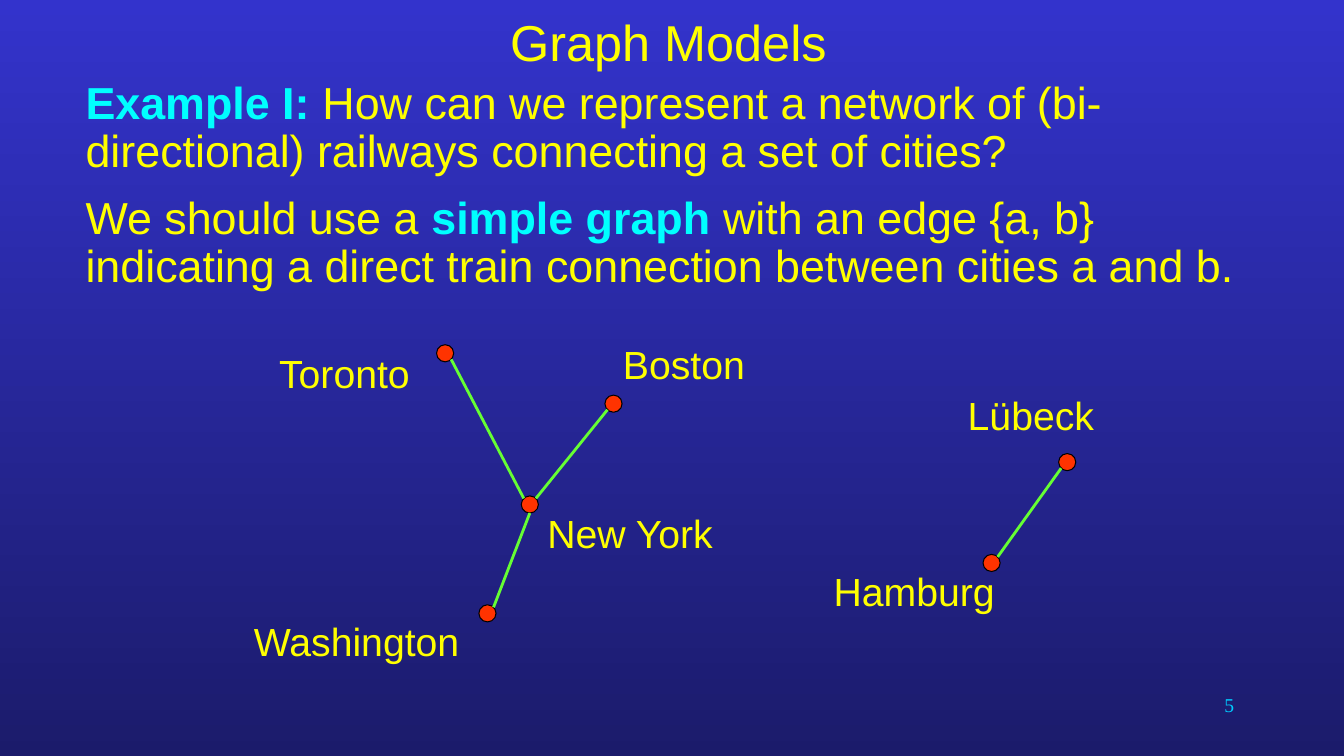
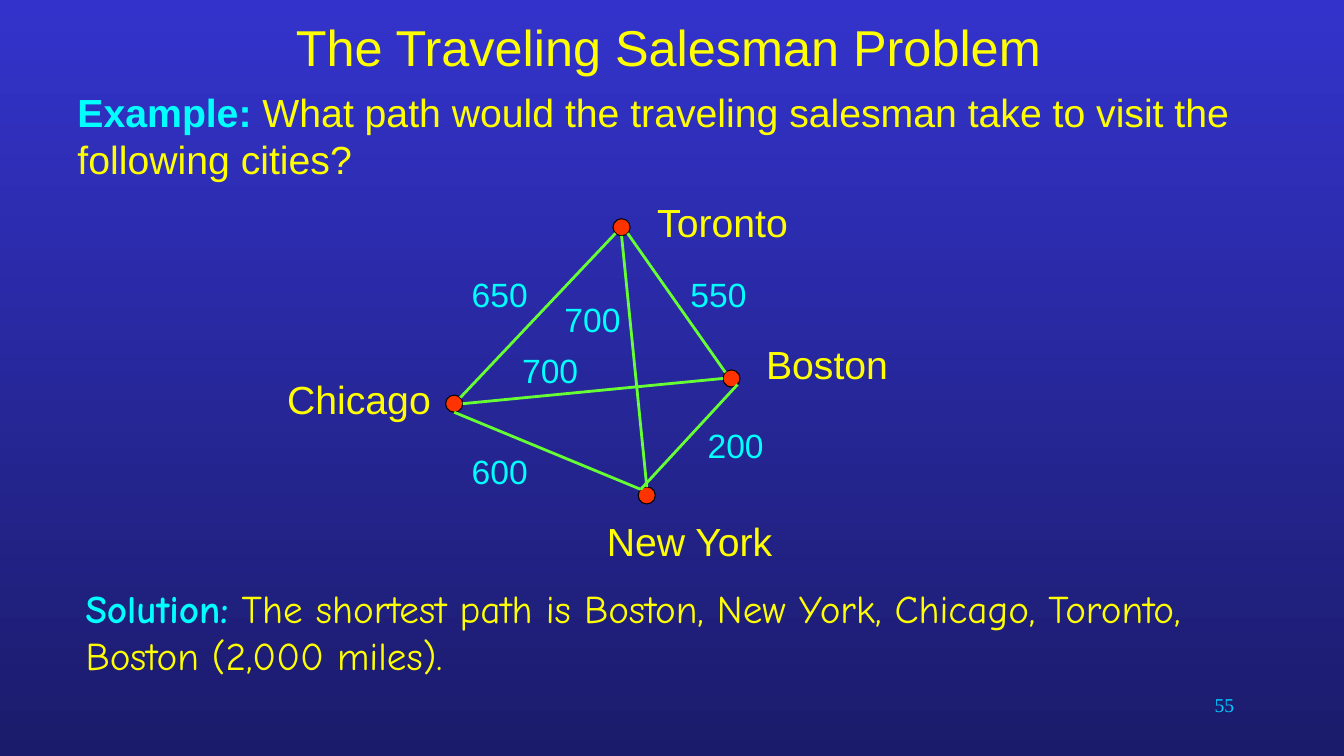
"""Build two slides on graph models: a railway network and a salesman tour."""
import dataclasses
import math

import pptx
import pptx.dml.color
import pptx.enum.shapes
import pptx.enum.text
import pptx.oxml.ns
import pptx.util
from lxml import etree
from pptx.util import Inches, Pt

SHAPES = pptx.enum.shapes.MSO_SHAPE
ALIGN = pptx.enum.text.PP_ALIGN


@dataclasses.dataclass(frozen=True)
class Theme:
    """Colours, fonts and sizes shared by the slides."""

    sky: str = "3333CC"
    night: str = "1B1B6B"
    text: str = "FFFF00"
    accent: str = "00FFFF"
    number: str = "00CCFF"
    node: str = "FF3300"
    outline: str = "000000"
    edge: str = "66FF33"
    font: str = "Arial"
    hand_font: str = "Comic Neue"
    number_font: str = "Times New Roman"
    title_size: int = 36
    lead_size: int = 32
    body_size: int = 28
    weight_size: int = 24
    number_size: int = 14
    node_width: float = 0.17


THEME = Theme()
LABEL_HEIGHT = 0.57
WEIGHT_WIDTH, WEIGHT_HEIGHT = 1.08, 0.5
NUMBER_PLACE = (9.56, 6.83, 2.78, 0.5)

COMPASS = {name: math.radians(45 * step) for step, name in
           enumerate(("E", "SE", "S", "SW", "W", "NW", "N", "NE"))}

SLIDES = [
    {
        "title": "Graph Models", "title_height": 0.83, "number": "5",
        "texts": [
            {"place": (0.75, 0.75, 11.92, 2.42), "size": THEME.lead_size,
             "font": THEME.font, "spacing": 0.9, "paragraphs": [
                 [("Example I: ", True),
                  ("How can we represent a network of (bi-directional) "
                   "railways connecting a set of cities?", False)],
                 [("We should use a ", False), ("simple graph", True),
                  (" with an edge {a, b} indicating a direct train "
                   "connection between cities a and b.", False)]]},
        ],
        "cities": {
            "New York": {"node": (5.17, 4.92), "label": (5.33, 5, 2.08)},
            "Boston": {"node": (6, 3.92), "label": (6.08, 3.33, 1.75)},
            "Washington": {"node": (4.75, 6), "label": (2.42, 6.08, 3.17)},
            "Lübeck": {"node": (10.5, 4.5), "label": (9.5, 3.83, 2.17)},
            "Toronto": {"node": (4.33, 3.42), "label": (2.67, 3.42, 2.25)},
            "Hamburg": {"node": (9.75, 5.5), "label": (8.17, 5.58, 2)},
        },
        "edges": [
            ("Toronto", "SE", "New York", "NW"),
            ("New York", "NE", "Boston", "SW"),
            ("New York", "S", "Washington", "NE"),
            ("Hamburg", "NE", "Lübeck", "SW"),
        ],
        "weights": [],
    },
    {
        "title": "The Traveling Salesman Problem", "title_height": 0.92,
        "number": "55",
        "texts": [
            {"place": (0.67, 0.83, 12.08, 1.17), "size": THEME.body_size,
             "font": THEME.font, "spacing": 1.0, "paragraphs": [
                 [("Example:", True),
                  (" What path would the traveling salesman take to visit "
                   "the following cities?", False)]]},
            {"place": (0.75, 5.75, 11.83, 1.17), "size": THEME.body_size,
             "font": THEME.hand_font, "spacing": 1.0, "paragraphs": [
                 [("Solution:", True),
                  (" The shortest path is Boston, New York, Chicago, "
                   "Toronto, Boston (2,000 miles).", False)]]},
        ],
        "cities": {
            "Chicago": {"node": (4.42, 3.92), "label": (2.75, 3.67, 1.67)},
            "New York": {"node": (6.33, 4.83), "label": (5.92, 5.08, 2.33)},
            "Boston": {"node": (7.17, 3.67), "label": (7.5, 3.33, 1.67)},
            "Toronto": {"node": (6.08, 2.17), "label": (6.42, 1.92, 1.67)},
        },
        "edges": [
            ("Toronto", "SW", "Chicago", "NE"),
            ("Chicago", "S", "New York", "NW"),
            ("Boston", "SE", "New York", "NW"),
            ("Chicago", "E", "Boston", "W"),
            ("Toronto", "SE", "Boston", "NW"),
            ("Toronto", "S", "New York", "N"),
        ],
        "weights": [
            ("600", 4.58, 4.42), ("700", 5.08, 3.42), ("200", 6.92, 4.17),
            ("650", 4.58, 2.67), ("550", 6.75, 2.67), ("700", 5.5, 2.92),
        ],
    },
]


def rgb(code):
    """Turn a hex code into a colour."""
    return pptx.dml.color.RGBColor.from_string(code)


def style_font(font, size, color, name=THEME.font, bold=False):
    """Set the look of a font."""
    font.size, font.name, font.bold = Pt(size), name, bold
    font.color.rgb = rgb(color)


def add_box(page, place):
    """Add an empty wrapping text box."""
    box = page.shapes.add_textbox(*map(Inches, place))
    box.text_frame.word_wrap = True
    return box


def add_label(page, text, place, size, color, name=THEME.font, align=ALIGN.LEFT):
    """Add a one-line text."""
    para = add_box(page, place).text_frame.paragraphs[0]
    para.text, para.alignment = text, align
    style_font(para.runs[0].font, size, color, name)


def add_text(page, block):
    """Add paragraphs whose key words are bold and in the accent colour."""
    frame = add_box(page, block["place"]).text_frame
    for index, spans in enumerate(block["paragraphs"]):
        para = frame.add_paragraph() if index else frame.paragraphs[0]
        para.line_spacing = block["spacing"]
        para.space_before = para.space_after = Pt(0.2 * block["size"])
        for text, is_key in spans:
            span = para.add_run()
            span.text = text
            style_font(span.font, block["size"],
                       THEME.accent if is_key else THEME.text,
                       block["font"], is_key)


def add_node(page, left, top):
    """Add the dot of a city."""
    width = Inches(THEME.node_width)
    dot = page.shapes.add_shape(SHAPES.FLOWCHART_CONNECTOR,
                                Inches(left), Inches(top), width, width)
    dot.shadow.inherit = False
    dot.fill.solid()
    dot.fill.fore_color.rgb = rgb(THEME.node)
    dot.line.color.rgb = rgb(THEME.outline)
    dot.line.width = Pt(0.75)


def rim_point(city, side):
    """Find the point on a city's dot that faces a compass direction."""
    radius, angle = THEME.node_width / 2, COMPASS[side]
    left, top = city["node"]
    return (Inches(left + radius * (1 + math.cos(angle))),
            Inches(top + radius * (1 + math.sin(angle))))


def add_edge(page, start, end):
    """Add a straight edge between two points."""
    edge = page.shapes.add_connector(
        pptx.enum.shapes.MSO_CONNECTOR.STRAIGHT, *start, *end)
    edge.line.color.rgb = rgb(THEME.edge)
    edge.line.width = Pt(2)
    etree.SubElement(edge._element.spPr, pptx.oxml.ns.qn("a:effectLst"))


def add_graph(page, cities, edges, weights):
    """Draw cities, their names, the edges and the distances."""
    for name, city in cities.items():
        add_node(page, *city["node"])
        add_label(page, name, (*city["label"], LABEL_HEIGHT),
                  THEME.body_size, THEME.text)
    for start, start_side, end, end_side in edges:
        add_edge(page, rim_point(cities[start], start_side),
                 rim_point(cities[end], end_side))
    for text, left, top in weights:
        add_label(page, text, (left, top, WEIGHT_WIDTH, WEIGHT_HEIGHT),
                  THEME.weight_size, THEME.accent)


def set_title(page, text, height):
    """Place and format the title."""
    title = page.shapes.title
    title.left, title.top, title.width, title.height = map(
        Inches, (1.92, 0, 9.42, height))
    frame = title.text_frame
    frame.text = text
    frame.auto_size = pptx.enum.text.MSO_AUTO_SIZE.NONE
    frame.vertical_anchor = pptx.enum.text.MSO_ANCHOR.MIDDLE
    para = frame.paragraphs[0]
    para.alignment = ALIGN.CENTER
    style_font(para.runs[0].font, THEME.title_size, THEME.text)


def set_background(master):
    """Give all slides a gradient that darkens downwards."""
    fill = master.background.fill
    fill.gradient()
    fill.gradient_angle = 270
    for stop, color in zip(fill.gradient_stops, (THEME.sky, THEME.night)):
        stop.color.rgb = rgb(color)


def main():
    """Build and save the deck."""
    deck = pptx.Presentation()
    deck.slide_width, deck.slide_height = Inches(13.33), Inches(7.5)
    set_background(deck.slide_master)
    for content in SLIDES:
        page = deck.slides.add_slide(deck.slide_layouts[5])
        set_title(page, content["title"], content["title_height"])
        for block in content["texts"]:
            add_text(page, block)
        add_graph(page, content["cities"], content["edges"], content["weights"])
        add_label(page, content["number"], NUMBER_PLACE, THEME.number_size,
                  THEME.number, THEME.number_font, ALIGN.RIGHT)
    deck.save("out.pptx")


if __name__ == "__main__":
    main()
